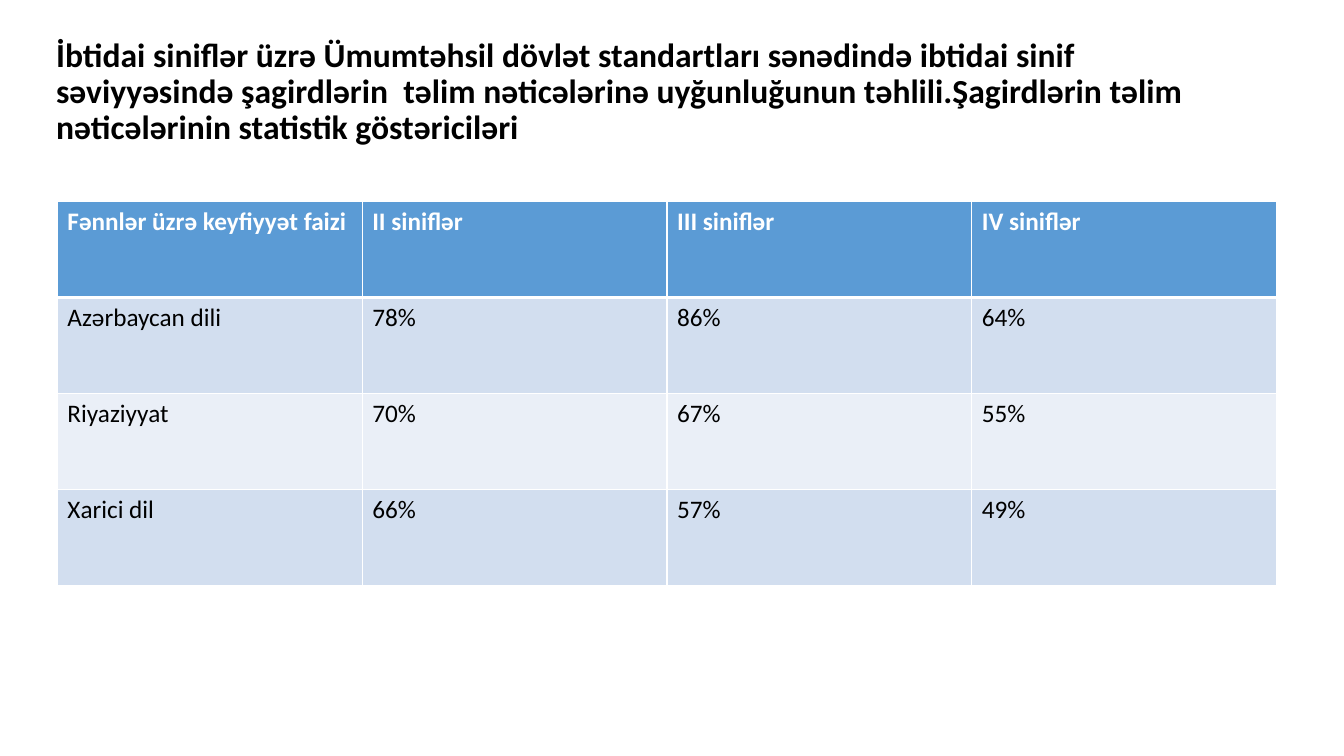
from dataclasses import dataclass

from lxml.etree import SubElement
from pptx import Presentation
from pptx.dml.color import RGBColor
from pptx.enum.text import MSO_ANCHOR
from pptx.oxml.ns import qn
from pptx.util import Pt


@dataclass(frozen=True)
class Theme:
    """Colours, font and sizes of the slide."""
    font: str = "Calibri"
    ink: str = "000000"
    paper: str = "FFFFFF"
    header: str = "5B9BD5"
    bands: tuple = ("D2DEEF", "EAEFF7")
    title_size: int = 24
    table_size: int = 18
    rule: int = 1
    header_rule: int = 3


class SlideBuilder:
    """Draws titles and tables on one slide in one theme."""

    def __init__(self, slide, theme):
        self.slide = slide
        self.theme = theme

    def add_run(self, paragraph, text, size, color, bold):
        """Append one styled run."""
        run = paragraph.add_run()
        run.text = text
        run.font.name = self.theme.font
        run.font.size = Pt(size)
        run.font.bold = bold
        run.font.color.rgb = RGBColor.from_string(color)

    def add_title(self, text, left, top, width, height):
        """Add the bold heading, centred vertically in its box."""
        frame = self.slide.shapes.add_textbox(
            Pt(left), Pt(top), Pt(width), Pt(height)).text_frame
        frame.word_wrap = True
        frame.vertical_anchor = MSO_ANCHOR.MIDDLE
        heading = frame.paragraphs[0]
        heading.line_spacing = 0.9
        self.add_run(heading, text, self.theme.title_size, self.theme.ink, True)

    def add_borders(self, cell, top, bottom):
        """Draw the four cell borders in the paper colour."""
        properties = cell._tc.get_or_add_tcPr()
        sides = {"L": self.theme.rule, "R": self.theme.rule, "T": top, "B": bottom}
        for side, weight in sides.items():
            line = SubElement(properties, qn(f"a:ln{side}"), w=str(Pt(weight)))
            fill = SubElement(line, qn("a:solidFill"))
            SubElement(fill, qn("a:srgbClr"), val=self.theme.paper)

    def add_table(self, rows, left, top, column_width, row_height):
        """Add a table with a coloured header and banded rows."""
        theme = self.theme
        column_count = len(rows[0])
        table = self.slide.shapes.add_table(
            len(rows), column_count, Pt(left), Pt(top),
            Pt(column_width * column_count), Pt(row_height * len(rows))).table
        for column in table.columns:
            column.width = Pt(column_width)
        for index, values in enumerate(rows):
            table.rows[index].height = Pt(row_height)
            is_header = index == 0
            background = theme.header if is_header else theme.bands[(index - 1) % 2]
            color = theme.paper if is_header else theme.ink
            above = theme.header_rule if index == 1 else theme.rule
            below = theme.header_rule if is_header else theme.rule
            for cell, value in zip(table.rows[index].cells, values):
                self.add_borders(cell, above, below)
                cell.fill.solid()
                cell.fill.fore_color.rgb = RGBColor.from_string(background)
                self.add_run(cell.text_frame.paragraphs[0], value,
                             theme.table_size, color, is_header)


TITLE = (
    "İbtidai siniflər üzrə Ümumtəhsil dövlət standartları sənədində ibtidai sinif "
    "səviyyəsində şagirdlərin  təlim nəticələrinə uyğunluğunun təhlili."
    "Şagirdlərin təlim nəticələrinin statistik göstəriciləri"
)
QUALITY_RATES = [
    ("Fənnlər üzrə keyfiyyət faizi", "II siniflər", "III siniflər", "IV siniflər"),
    ("Azərbaycan dili", "78%", "86%", "64%"),
    ("Riyaziyyat", "70%", "67%", "55%"),
    ("Xarici dil", "66%", "57%", "49%"),
]


def main():
    """Build the slide and save it."""
    presentation = Presentation()
    presentation.slide_width = Pt(960)
    presentation.slide_height = Pt(540)
    slide = presentation.slides.add_slide(presentation.slide_layouts[6])
    builder = SlideBuilder(slide, Theme())
    builder.add_title(TITLE, 33, 26, 872.5, 80.5)
    builder.add_table(QUALITY_RATES, 41, 144, 217.75, 68.5)
    presentation.save("out.pptx")


if __name__ == "__main__":
    main()
